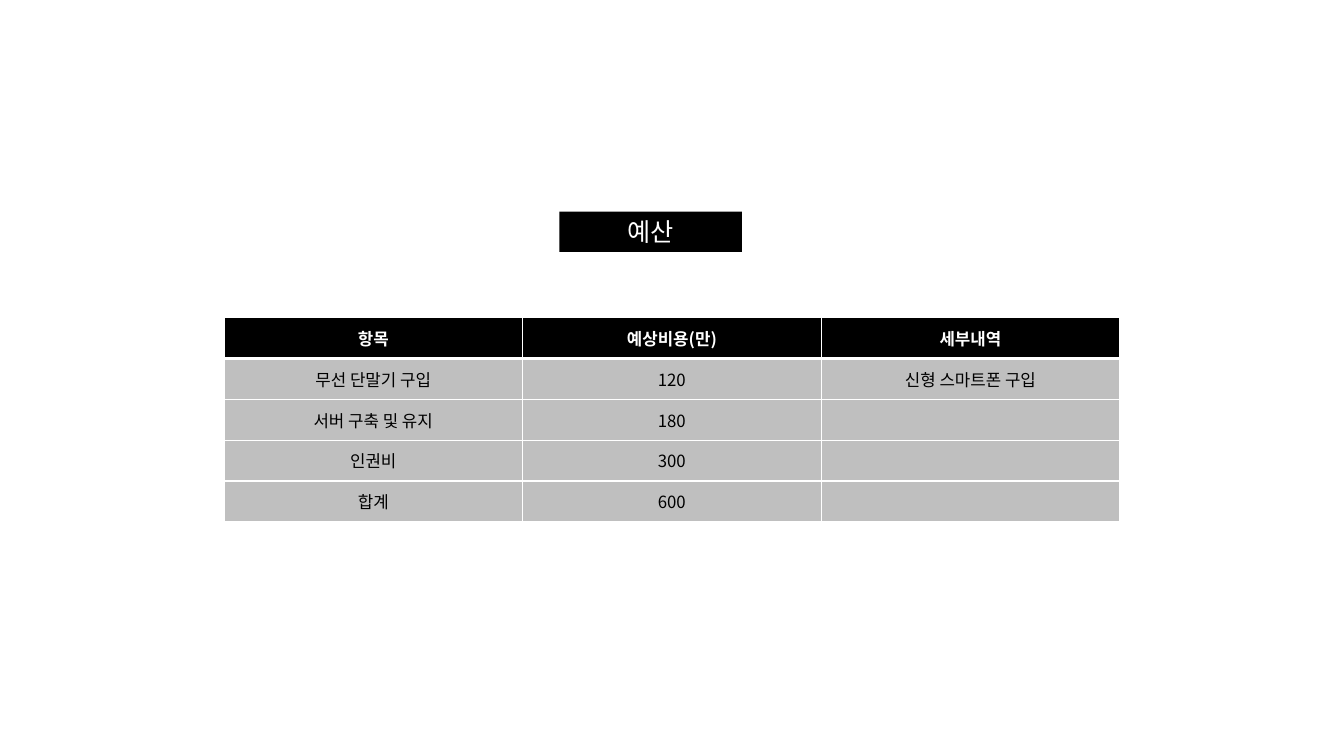
from dataclasses import dataclass

from lxml.etree import SubElement
from pptx import Presentation
from pptx.dml.color import RGBColor
from pptx.enum.shapes import MSO_SHAPE as Shape
from pptx.enum.text import MSO_ANCHOR as Anchor, PP_ALIGN as Align
from pptx.oxml import parse_xml
from pptx.oxml.ns import nsdecls, qn
from pptx.util import Pt

BLACK = RGBColor(0x00, 0x00, 0x00)
WHITE = RGBColor(0xFF, 0xFF, 0xFF)
GREY = RGBColor(0xBF, 0xBF, 0xBF)
FONT = "Noto Sans CJK KR"

COL_W, ROW_H = 213.3, 29.2
THIN, THICK = 1, 3


@dataclass(frozen=True)
class Style:
    size: float
    ink: RGBColor
    bold: bool = False


@dataclass(frozen=True)
class Row:
    cells: tuple[str, str, str]
    fill: RGBColor
    style: Style
    top: float = THIN
    base: float = THIN


HEAD = Style(12, WHITE, True)
BODY = Style(12, BLACK)
TITLE = Style(18, WHITE)

ROWS = [
    Row(("항목", "예상비용(만)", "세부내역"), BLACK, HEAD, base=THICK),
    Row(("무선 단말기 구입", "120", "신형 스마트폰 구입"), GREY, BODY, top=THICK),
    Row(("서버 구축 및 유지", "180", ""), GREY, BODY),
    Row(("인권비", "300", ""), GREY, BODY),
    Row(("합계", "600", ""), GREY, BODY),
]


def write(frame, text: str, style: Style) -> None:
    """Set centred text in the Korean font."""
    frame.text = text
    para = frame.paragraphs[0]
    para.alignment = Align.CENTER
    for run in para.runs:
        font = run.font
        font.name, font.size, font.bold = FONT, Pt(style.size), style.bold
        font.color.rgb = style.ink
        SubElement(font._element, qn("a:ea"), typeface=FONT)
    # Empty cells need the size too, or their rows grow
    if not text:
        SubElement(para._p, qn("a:endParaRPr"), sz=str(style.size * 100))


def edge(cell, row: Row) -> None:
    """Draw white borders; they must precede the fill."""
    sides = {"L": THIN, "R": THIN, "T": row.top, "B": row.base}
    props = cell._tc.get_or_add_tcPr()
    for i, (side, width) in enumerate(sides.items()):
        props.insert(i, parse_xml(
            f'<a:ln{side} {nsdecls("a")} w="{Pt(width)}"><a:solidFill>'
            f'<a:srgbClr val="{WHITE}"/></a:solidFill></a:ln{side}>'))


def draw_table(slide, left: float, top: float) -> None:
    cols = len(ROWS[0].cells)
    table = slide.shapes.add_table(
        len(ROWS), cols, Pt(left), Pt(top),
        Pt(COL_W * cols), Pt(ROW_H * len(ROWS))).table
    for col in table.columns:
        col.width = Pt(COL_W)
    for line, row in zip(table.rows, ROWS):
        line.height = Pt(ROW_H)
        for cell, text in zip(line.cells, row.cells):
            cell.fill.solid()
            cell.fill.fore_color.rgb = row.fill
            cell.vertical_anchor = Anchor.MIDDLE
            write(cell.text_frame, text, row.style)
            edge(cell, row)


def draw_title(slide, text: str) -> None:
    top, height = Pt(151.2), Pt(28.8)
    bar = slide.shapes.add_shape(
        Shape.RECTANGLE, Pt(399.6), top, Pt(130.4), height)
    bar.shadow.inherit = False
    bar.fill.solid()
    bar.fill.fore_color.rgb = BLACK
    bar.line.fill.background()
    box = slide.shapes.add_textbox(Pt(419.6), top, Pt(90.4), height)
    box.text_frame.word_wrap = True
    write(box.text_frame, text, TITLE)


def main() -> None:
    deck = Presentation()
    deck.slide_width, deck.slide_height = Pt(960), Pt(540)
    slide = deck.slides.add_slide(deck.slide_layouts[6])
    # Budget table, then its title bar
    draw_table(slide, 160, 226.8)
    draw_title(slide, "예산")
    deck.save("out.pptx")


if __name__ == "__main__":
    main()
